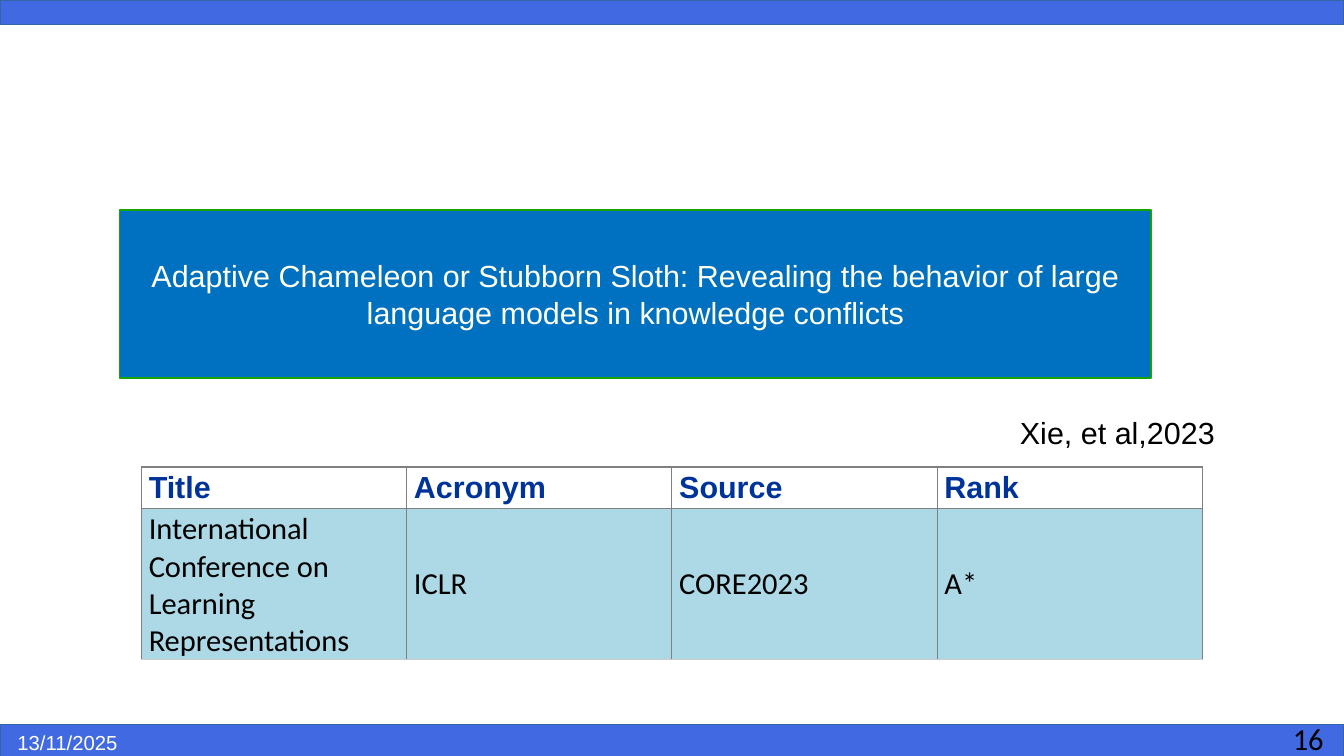
from lxml import etree
from pptx import Presentation
from pptx import util as u
from pptx.dml.color import RGBColor
from pptx.enum import shapes, text
from pptx.oxml.ns import qn

ROYAL = RGBColor(0x41, 0x69, 0xE1)
BAND_EDGE = RGBColor(0x34, 0x65, 0xA4)
BLUE = RGBColor(0x00, 0x70, 0xC0)
GREEN = RGBColor(0x18, 0xA3, 0x03)
IVORY = RGBColor(0xFF, 0xFF, 0xF0)
NAVY = RGBColor(0x00, 0x33, 0x99)
LIGHT_BLUE = RGBColor(0xAD, 0xD8, 0xE6)
GREY = RGBColor(0x80, 0x80, 0x80)
PALE_GREY = RGBColor(0xCC, 0xCC, 0xCC)
WHITE = RGBColor(0xFF, 0xFF, 0xFF)
BLACK = RGBColor(0x00, 0x00, 0x00)

prs = Presentation()
prs.slide_width, prs.slide_height = u.Inches(11.02), u.Inches(6.2)
W, H = prs.slide_width, prs.slide_height
slide = prs.slides.add_slide(prs.slide_layouts[5])


def style(frame, size, name, color, bold=False):
    for run in frame.paragraphs[0].runs:
        run.font.size, run.font.name = u.Pt(size), name
        run.font.color.rgb, run.font.bold = color, bold


def draw_border(cell, side, color):
    """Add one cell border; side is the last letter of a:lnL, a:lnR, a:lnT or a:lnB."""
    line = etree.SubElement(cell._tc.get_or_add_tcPr(), qn("a:ln" + side), w=str(u.Pt(0.75)))
    fill = etree.SubElement(line, qn("a:solidFill"))
    etree.SubElement(fill, qn("a:srgbClr"), val=str(color))


# Bands along the top and bottom edges
for top, height in ((0, u.Inches(0.2)), (u.Inches(5.94), u.Inches(0.3))):
    band = slide.shapes.add_shape(shapes.MSO_SHAPE.RECTANGLE, 0, top, W, height)
    band.shadow.inherit = False
    band.fill.solid()
    band.fill.fore_color.rgb = ROYAL
    band.line.color.rgb = BAND_EDGE
    band.line.width = 0

# Paper title
title = slide.shapes.title
title.left, title.top = u.Inches(0.98), u.Inches(1.72)
title.width, title.height = u.Inches(8.46), u.Inches(1.38)
title.fill.solid()
title.fill.fore_color.rgb = BLUE
title.line.color.rgb = GREEN
title.line.width = u.Pt(1)
title_frame = title.text_frame
title_frame.text = ("Adaptive Chameleon or Stubborn Sloth: Revealing the behavior "
                    "of large language models in knowledge conflicts")
title_frame.auto_size = text.MSO_AUTO_SIZE.NONE
title_frame.vertical_anchor = text.MSO_ANCHOR.MIDDLE
title_frame.paragraphs[0].alignment = text.PP_ALIGN.CENTER
style(title_frame, 18, "Arial", IVORY)

# Citation, date and page number, placed by shares of the slide
for wording, left, top, width, height, size, font, color in (
    ("Xie, et al,2023", 0.75, 0.54, 0.21, 0.1, 18, "Arial", BLACK),
    ("13/11/2025", 0.004, 0.958, 0.16, 0.04, 12, "Arial", IVORY),
    ("16", 0.953, 0.945, 0.047, 0.055, 18, "Calibri", BLACK),
):
    label = slide.shapes.add_textbox(int(left * W), int(top * H), int(width * W), int(height * H))
    label.text_frame.word_wrap = True
    label.text_frame.text = wording
    style(label.text_frame, size, font, color)

# Venue table
venue_rows = (
    ("Title", "Acronym", "Source", "Rank"),
    ("International Conference on Learning Representations", "ICLR", "CORE2023", "A*"),
)
row_looks = (
    (0.34, "Arial", NAVY, True, WHITE, GREY),
    (1.24, "Calibri", BLACK, False, LIGHT_BLUE, PALE_GREY),
)
venues = slide.shapes.add_table(2, 4, u.Inches(1.16), u.Inches(3.83),
                                u.Inches(8.7), u.Inches(1.58)).table
for r, (wordings, look) in enumerate(zip(venue_rows, row_looks)):
    height, font, color, bold, background, bottom_edge = look
    venues.rows[r].height = u.Inches(height)
    for c, wording in enumerate(wordings):
        cell = venues.cell(r, c)
        cell.text = wording
        cell.vertical_anchor = text.MSO_ANCHOR.MIDDLE
        cell.margin_left, cell.margin_right = u.Inches(0.06), u.Inches(0.1)
        cell.margin_top = cell.margin_bottom = u.Inches(0.02)
        style(cell.text_frame, 18, font, color, bold)
        for side in "LRT":
            draw_border(cell, side, GREY)
        draw_border(cell, "B", bottom_edge)
        cell.fill.solid()
        cell.fill.fore_color.rgb = background

prs.save("out.pptx")
